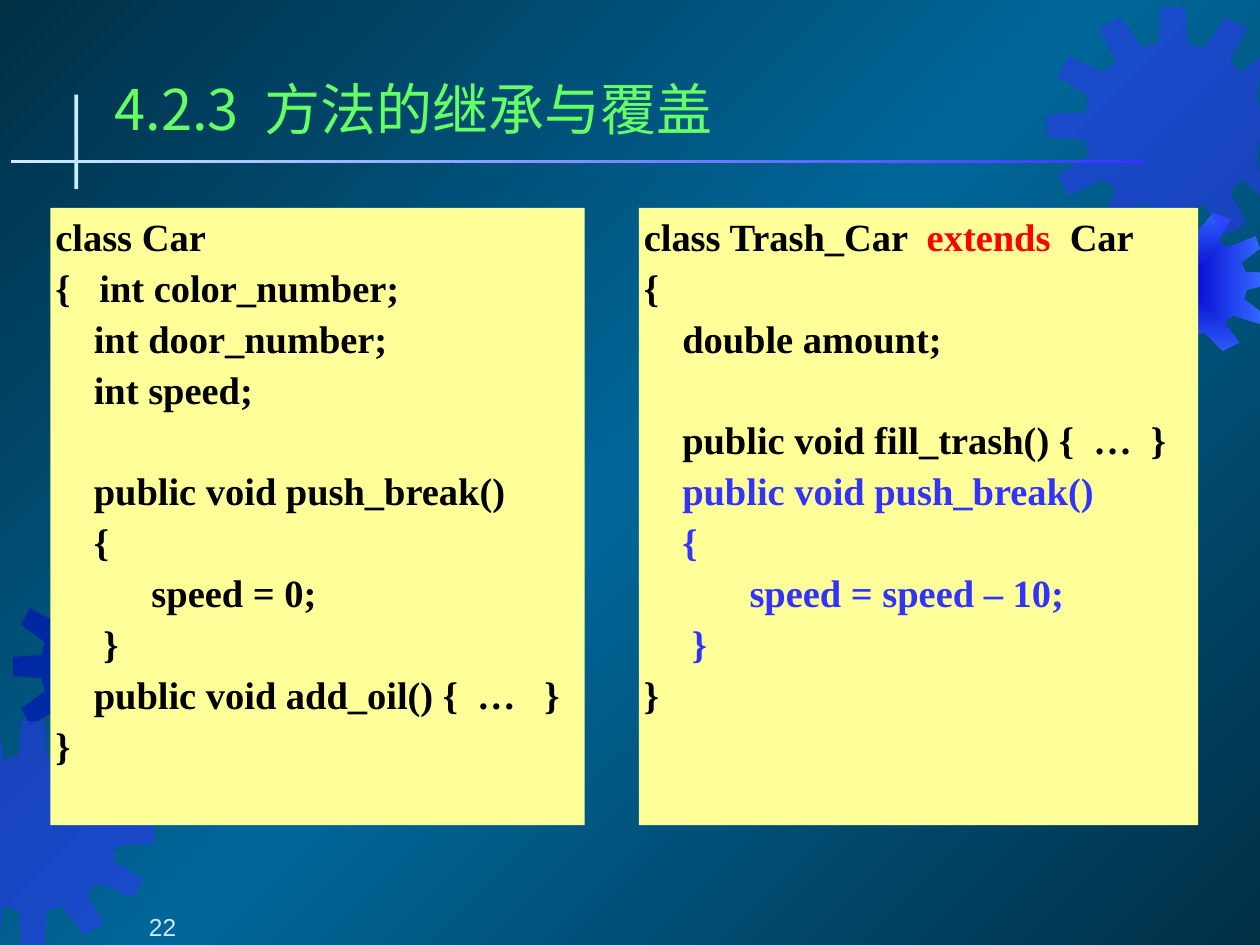
from math import cos, sin, radians
from pptx import Presentation
from pptx.dml.color import RGBColor as RGB
from pptx.enum.shapes import MSO_SHAPE as Kind
from pptx.enum.text import MSO_ANCHOR as Anchor, PP_ALIGN as Align
from pptx.oxml import parse_xml
from pptx.oxml.ns import nsdecls, qn
from pptx.oxml.xmlchemy import OxmlElement as Elem
from pptx.util import Inches, Pt

WIDE, HIGH = 10, 7.5
TEETH = 12
TOP, TALL = 0.22 * HIGH, 4.9
SIZE, LINE, GAP = 22, 26.3, 2.8

HUE = {
    "edge": "002F46", "mid": "006699", "navy": "0000CC", "blue": "3333FF",
    "sky": "3366FF", "ice": "CCECFF", "lime": "66FF66", "cream": "FFFF99",
    "black": "000000", "red": "FF0000",
}

# Each gear: centre, radii, tilt in degrees, fill
GEARS = [
    ((0.84, 5.29), (0.74, 0.8), 0, "navy"),
    ((0.26, 6.61), (0.97, 0.89), 0, "blue"),
    ((9.33, 2.25), (0.81, 0.6), -3, None),
    ((9.31, 1), (1.01, 0.95), 0, "blue"),
]

BASE = [
    "class Car",
    "{   int color_number;",
    "    int door_number;",
    "    int speed;",
    "",
    "    public void push_break()",
    "    {",
    "          speed = 0;",
    "     }",
    "    public void add_oil() {  …   }",
    "}",
]
CHILD = [
    [("class Trash_Car  ", "black"), ("extends", "red"), ("  Car", "black")],
    "{",
    "    double amount;",
    "",
    "    public void fill_trash() {  …  }",
    [("    ", "black"), ("public void push_break()", "blue")],
    [("    {", "blue")],
    [("           speed = speed – 10;", "blue")],
    [("     }", "blue")],
    "}",
]


def color(name):
    return RGB.from_string(HUE[name])


def blend(fill, names, way):
    """Fill with evenly spaced colours; way is the XML for the direction."""
    fill.gradient()
    step = 100000 // (len(names) - 1)
    stops = "".join(
        f'<a:gs pos="{i * step}"><a:srgbClr val="{HUE[n]}"/></a:gs>'
        for i, n in enumerate(names))
    new = parse_xml(f'<a:gradFill {nsdecls("a")} rotWithShape="1">'
                    f'<a:gsLst>{stops}</a:gsLst>{way}</a:gradFill>')
    old = fill._xPr.find(qn("a:gradFill"))
    fill._xPr.replace(old, new)


def slant(deg):
    return f'<a:lin ang="{deg * 60000}" scaled="0"/>'


def plain(shape):
    shape.shadow.inherit = False
    shape.line.fill.background()
    return shape


def solid(shape, name, alpha=None):
    shape.fill.solid()
    shape.fill.fore_color.rgb = color(name)
    if alpha:
        node = Elem("a:alpha")
        node.set("val", str(alpha * 1000))
        shape.fill._xPr.find(".//" + qn("a:srgbClr")).append(node)


def gear(slide, mid, radii, tilt, hue):
    """Draw a toothed wheel, cut off at the slide's sides."""
    dots = []
    for k in range(TEETH):
        for turn, share in ((-9.5, 0.7), (-5.5, 1), (5.5, 1), (9.5, 0.7)):
            a = radians(k * 360 / TEETH + tilt + turn)
            x = mid[0] + radii[0] * share * sin(a)
            y = mid[1] - radii[1] * share * cos(a)
            dots.append((Inches(min(max(x, 0), WIDE)), Inches(y)))
    pen = slide.shapes.build_freeform(*dots[0])
    pen.add_line_segments(dots[1:], close=True)
    wheel = plain(pen.convert_to_shape())
    if hue:
        solid(wheel, hue, 50)
    else:
        blend(wheel.fill, ["navy", "sky"],
              '<a:path path="rect"><a:fillToRect l="50000" t="50000" '
              'r="50000" b="50000"/></a:path>')


def rect(slide, *box):
    return plain(slide.shapes.add_shape(Kind.RECTANGLE, *map(Inches, box)))


def style(run, size, face, hue, bold=False):
    font = run.font
    font.size, font.name, font.bold = Pt(size), face, bold
    font.color.rgb = color(hue)
    east = Elem("a:ea")
    east.set("typeface", face)
    run._r.get_or_add_rPr().find(qn("a:latin")).addnext(east)


def inset(frame, *sides):
    (frame.margin_left, frame.margin_top,
     frame.margin_right, frame.margin_bottom) = map(Inches, sides)
    frame.word_wrap = True


def label(slide, box, text, anchor, sides, *look):
    frame = slide.shapes.add_textbox(*map(Inches, box)).text_frame
    inset(frame, *sides)
    frame.vertical_anchor = anchor
    frame.text = text
    para = frame.paragraphs[0]
    style(para.runs[0], *look)
    return para


def code(slide, left, wide, lines):
    """Draw a listing; an empty line becomes space before the next one."""
    panel = rect(slide, left, TOP, wide, TALL)
    solid(panel, "cream")
    frame = panel.text_frame
    inset(frame, 0.04, 0.04, 0.04, 0.04)
    frame.vertical_anchor = Anchor.TOP
    para, space = frame.paragraphs[0], 0
    for line in lines:
        if not line:
            space += LINE + GAP
            continue
        if para.runs:
            para = frame.add_paragraph()
        para.alignment = Align.LEFT
        para.line_spacing, para.space_before = Pt(LINE), Pt(space)
        for text, hue in [(line, "black")] if isinstance(line, str) else line:
            run = para.add_run()
            run.text = text
            style(run, SIZE, "Times New Roman", hue, True)
        space = GAP


def main():
    deck = Presentation()
    deck.slide_width, deck.slide_height = Inches(WIDE), Inches(HIGH)
    slide = deck.slides.add_slide(deck.slide_layouts[6])
    blend(slide.background.fill, ["edge", "mid", "edge"], slant(225))
    for item in GEARS:
        gear(slide, *item)
    solid(rect(slide, 0.59, 0.1 * HIGH, 0.03, 0.1 * HIGH), "ice")
    rule = rect(slide, 0.09, 1.27, 0.9 * WIDE, 0.02)
    blend(rule.fill, ["blue", "ice"], slant(180))
    label(slide, (0.87, 0.54, 8.84, 0.63), "4.2.3  方法的继承与覆盖",
          Anchor.MIDDLE, (0.04, 0.05, 0.04, 0.05),
          32, "Noto Sans CJK SC", "lime")
    code(slide, 0.4, 4.24, BASE)
    code(slide, 5.07, 4.44, CHILD)
    page = label(slide, (0, 7.05, 2.08, 0.42), "22", Anchor.BOTTOM,
                 (0.6, 0, 0.1, 0), 14, "Arial", "ice")
    page.alignment = Align.CENTER
    deck.save("out.pptx")


if __name__ == "__main__":
    main()
